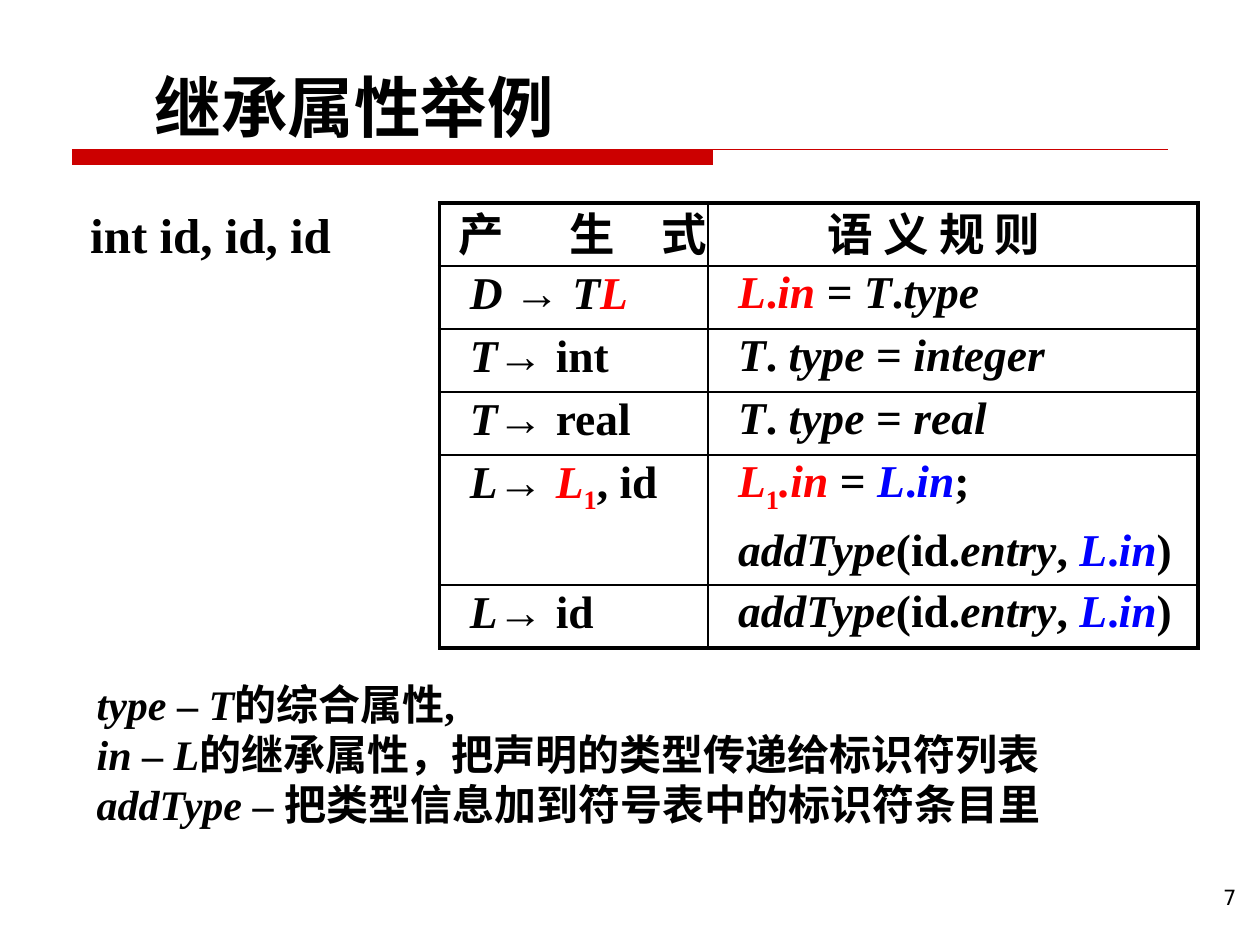
from lxml import etree
from pptx import Presentation
from pptx import util as u
from pptx.dml import color
from pptx.enum import text
from pptx.oxml import ns

SERIF, HAN = "Times New Roman", "Noto Sans CJK SC"
FONTS = {"a": "Arial", "h": HAN, "d": "DejaVu Sans"}
COLORS = {"r": "FF0000", "b": "0000FF"}


def rgb(code):
    return color.RGBColor.from_string(code)


def write(para, runs, size, bold=True):
    for words, style in runs:
        run = para.add_run()
        run.text = words
        font = run.font
        font.size, font.bold, font.italic = u.Pt(size), bold, "i" in style
        font.name = next((FONTS[c] for c in style if c in FONTS), SERIF)
        font.color.rgb = rgb(next((COLORS[c] for c in style if c in COLORS), "000000"))
        props = run._r.get_or_add_rPr()
        if "s" in style:
            props.set("baseline", "-25000")
        if "h" in style:
            etree.SubElement(props, ns.qn("a:ea"), typeface=HAN)


prs = Presentation()
prs.slide_width, prs.slide_height = u.Cm(25.4), u.Cm(19.05)
slide = prs.slides.add_slide(prs.slide_layouts[6])
pool = slide.shapes

left, top = u.Cm(1.45), u.Cm(3.02)
pen = pool.build_freeform(left, top)
pen.add_line_segments([(u.Cm(14.38), top), (u.Cm(14.38), u.Cm(3.33)), (left, u.Cm(3.33))])
bar = pen.convert_to_shape()
bar.shadow.inherit = False
bar.fill.solid()
bar.fill.fore_color.rgb = rgb("CC0000")
bar.line.fill.background()

rule = pool.add_connector(1, left, top, u.Cm(23.55), top)
rule.line.color.rgb = rgb("CC0000")
rule.line.width = u.Pt(0.75)
etree.SubElement(rule._element.spPr, ns.qn("a:effectLst"))

notes = [
    [("type ", "i"), ("– ", ""), ("T", "i"), ("的综合属性", "h"), (",", "")],
    [("in ", "i"), ("– ", ""), ("L", "i"),
     ("的继承属性，把声明的类型传递给标识符列表 ", "h"),
     ("addType ", "i"), ("– ", ""), ("把类型信息加到符号表中的标识符条目里", "h")],
]
boxes = [
    (3.12, 1.14, 8.13, 1.68, 0, 38, True, u.Pt(51), [[("继承属性举例", "h")]]),
    (24.66, 17.81, 0.48, 0.58, 0.03, 12, False, 1.0, [[("7", "d")]]),
    (1.82, 4.09, 5.2, 1.24, 0.03, 28, True, 1.0, [[("int id, id, id", "")]]),
    (1.95, 13.54, 19.18, 3.73, 0.13, 24, True, 1.0, notes),
]
for x, y, w, h, inset, size, bold, lead, lines in boxes:
    frame = pool.add_textbox(u.Cm(x), u.Cm(y), u.Cm(w), u.Cm(h)).text_frame
    frame.word_wrap = True
    frame.margin_left = frame.margin_right = frame.margin_bottom = 0
    frame.margin_top = u.Cm(inset)
    for i, runs in enumerate(lines):
        para = frame.paragraphs[0] if i == 0 else frame.add_paragraph()
        para.line_spacing = lead
        write(para, runs, size, bold)

arrow = ("→ ", "a")
add = [("addType", "i"), ("(id.", ""), ("entry", "i"), (", ", ""),
       ("L", "ib"), (".", "b"), ("in", "ib"), (")", "")]
kind = [("T", "i"), (". ", ""), ("type ", "i"), ("= ", "")]
rows = [
    ([[("产\t生\t式", "h")]], [[("语 义 规 则", "h")]]),
    ([[("D ", "i"), arrow, ("T", "i"), ("L", "ir")]],
     [[("L", "ir"), (".", "r"), ("in ", "ir"), ("= ", ""),
       ("T", "i"), (".", ""), ("type", "i")]]),
    ([[("T", "i"), arrow, ("int", "")]], [kind + [("integer", "i")]]),
    ([[("T", "i"), arrow, ("real", "")]], [kind + [("real", "i")]]),
    ([[("L", "i"), arrow, ("L", "ir"), ("1", "rs"), (", ", ""), ("id", "")]],
     [[("L", "ir"), ("1", "rs"), (".in ", "ir"), ("= ", ""),
       ("L", "ib"), (".", "b"), ("in", "ib"), (";", "")], add]),
    ([[("L", "i"), arrow, ("id", "")]], [add]),
]
grid = pool.add_table(6, 2, u.Cm(8.86), u.Cm(4.09), u.Cm(15.29), u.Cm(8.94)).table
grid.first_row = grid.horz_banding = False
for col, width in zip(grid.columns, (5.41, 9.88)):
    col.width = u.Cm(width)
for r, row in enumerate(rows):
    grid.rows[r].height = u.Cm(2.59 if r == 4 else 1.27)
    for c, lines in enumerate(row):
        cell = grid.cell(r, c)
        cell.margin_left = u.Cm((0.38, 2.41)[c] if r == 0 else 0.61)
        cell.margin_right = cell.margin_bottom = 0
        cell.margin_top = u.Cm(0.05)
        cell.vertical_anchor = text.MSO_ANCHOR.TOP
        props = cell._tc.get_or_add_tcPr()
        edges = {"L": c == 0, "R": c == 1, "T": r == 0, "B": r == 5}
        for side, outer in edges.items():
            line = etree.SubElement(props, ns.qn("a:ln" + side), w=str(u.Pt(2.25 if outer else 1)))
            paint = etree.SubElement(line, ns.qn("a:solidFill"))
            etree.SubElement(paint, ns.qn("a:srgbClr"), val="000000")
        cell.fill.background()
        frame = cell.text_frame
        for i, runs in enumerate(lines):
            para = frame.paragraphs[0] if i == 0 else frame.add_paragraph()
            if i:
                para.space_before = u.Pt(6.2)
            if r == 0:
                para.line_spacing = u.Pt(34)
            if r == c == 0:
                tabs = etree.SubElement(para._p.get_or_add_pPr(), ns.qn("a:tabLst"))
                for stop in (2.24, 4.09):
                    etree.SubElement(tabs, ns.qn("a:tab"), pos=str(u.Cm(stop)), algn="l")
            write(para, runs, 26)

prs.save("out.pptx")
